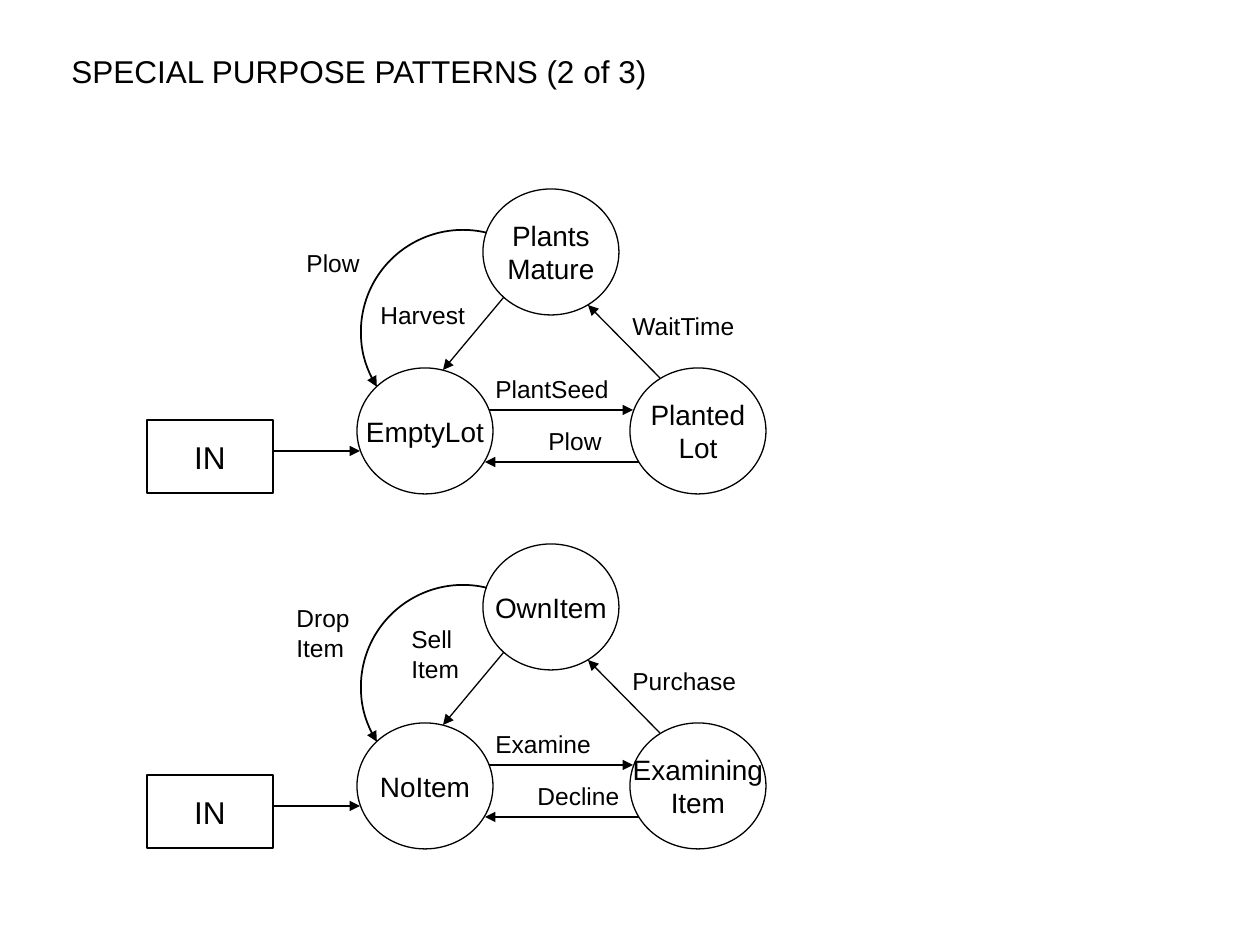
from lxml.etree import SubElement
from pptx import Presentation
from pptx.dml.color import RGBColor
from pptx.enum.shapes import MSO_CONNECTOR, MSO_SHAPE
from pptx.enum.text import MSO_ANCHOR, PP_ALIGN
from pptx.oxml.ns import qn
from pptx.util import Emu, Pt

PX = 914400 // 126
BLACK = RGBColor(0, 0, 0)
FONT = "Arial"

TITLE = "SPECIAL PURPOSE PATTERNS (2 of 3)"
STEP = 355  # from one diagram down to the next

# Shared layout of both diagrams: left, top
STATES = [(357, 368), (630, 368), (483, 189)]
STATE_SIZE = (136, 126)
ENTRY = (147, 420, 126, 73)
ARROWS = [  # from x, y to x, y
    (489, 410, 633, 410),
    (639, 462, 485, 462),
    (273, 451, 360, 451),
    (504, 297, 443, 370),
    (660, 378, 588, 305),
]
ARC = (361, 230, 204, 204)
ARC_ANGLES = (147.5, 283.5)

# Each diagram: state names, then labels as text, left, top, width
DIAGRAMS = [
    (["EmptyLot", "Planted\nLot", "Plants\nMature"],
     [("PlantSeed", 483, 368, 142), ("Plow", 536, 420, 82),
      ("WaitTime", 620, 305, 134), ("Harvest", 368, 294, 114),
      ("Plow", 294, 242, 105)]),
    (["NoItem", "Examining\nItem", "OwnItem"],
     [("Examine", 483, 368, 124), ("Decline", 525, 420, 110),
      ("Purchase", 620, 305, 134), ("Sell\nItem", 399, 263, 76),
      ("Drop\nItem", 284, 242, 105)]),
]


def scale(*sizes):
    return [Emu(size * PX) for size in sizes]


def write(shape, text, size=14, align=PP_ALIGN.LEFT, anchor=MSO_ANCHOR.TOP):
    frame = shape.text_frame
    frame.word_wrap = False
    frame.vertical_anchor = anchor
    frame.text = text
    for para in frame.paragraphs:
        para.alignment = align
        para.font.size = Pt(size)
        para.font.name = FONT
        para.font.color.rgb = BLACK


def label(slide, text, left, top, width, height, **style):
    write(slide.shapes.add_textbox(*scale(left, top, width, height)), text, **style)


def outline(slide, kind, box, weight=0.75):
    shape = slide.shapes.add_shape(kind, *scale(*box))
    shape.shadow.inherit = False
    shape.fill.background()
    shape.line.color.rgb = BLACK
    shape.line.width = Pt(weight)
    return shape


def node(slide, kind, box, text, size):
    shape = outline(slide, kind, box)
    write(shape, text, size=size, align=PP_ALIGN.CENTER, anchor=MSO_ANCHOR.MIDDLE)


def tip(shape, end):
    SubElement(shape.line._get_or_add_ln(), qn(f"a:{end}"), type="triangle")


def arrow(slide, ends):
    line = slide.shapes.add_connector(MSO_CONNECTOR.STRAIGHT, *scale(*ends))
    line.line.color.rgb = BLACK
    line.line.width = Pt(0.75)
    tip(line, "tailEnd")
    SubElement(line._element.spPr, qn("a:effectLst"))


def curve(slide, box):
    arc = outline(slide, MSO_SHAPE.ARC, box, weight=1)
    for i, angle in enumerate(ARC_ANGLES):
        arc.adjustments[i] = angle * 0.6  # 60000 units a degree, over 100000
    tip(arc, "headEnd")


def diagram(slide, names, labels, drop):
    for name, (left, top) in zip(names, STATES):
        node(slide, MSO_SHAPE.OVAL, (left, top + drop, *STATE_SIZE), name, 16)
    left, top, *size = ENTRY
    node(slide, MSO_SHAPE.RECTANGLE, (left, top + drop, *size), "IN", 18)
    for x1, y1, x2, y2 in ARROWS:
        arrow(slide, (x1, y1 + drop, x2, y2 + drop))
    left, top, *size = ARC
    curve(slide, (left, top + drop, *size))
    for text, left, top, width in labels:
        height = 43 + 29 * text.count("\n")
        label(slide, text, left, top + drop, width, height)


def main():
    deck = Presentation()
    deck.slide_width, deck.slide_height = scale(1260, 945)
    slide = deck.slides.add_slide(deck.slide_layouts[6])
    for i, (names, labels) in enumerate(DIAGRAMS):
        diagram(slide, names, labels, i * STEP)
    label(slide, TITLE, 59, 46, 610, 50, size=18)
    deck.save("out.pptx")


if __name__ == "__main__":
    main()
